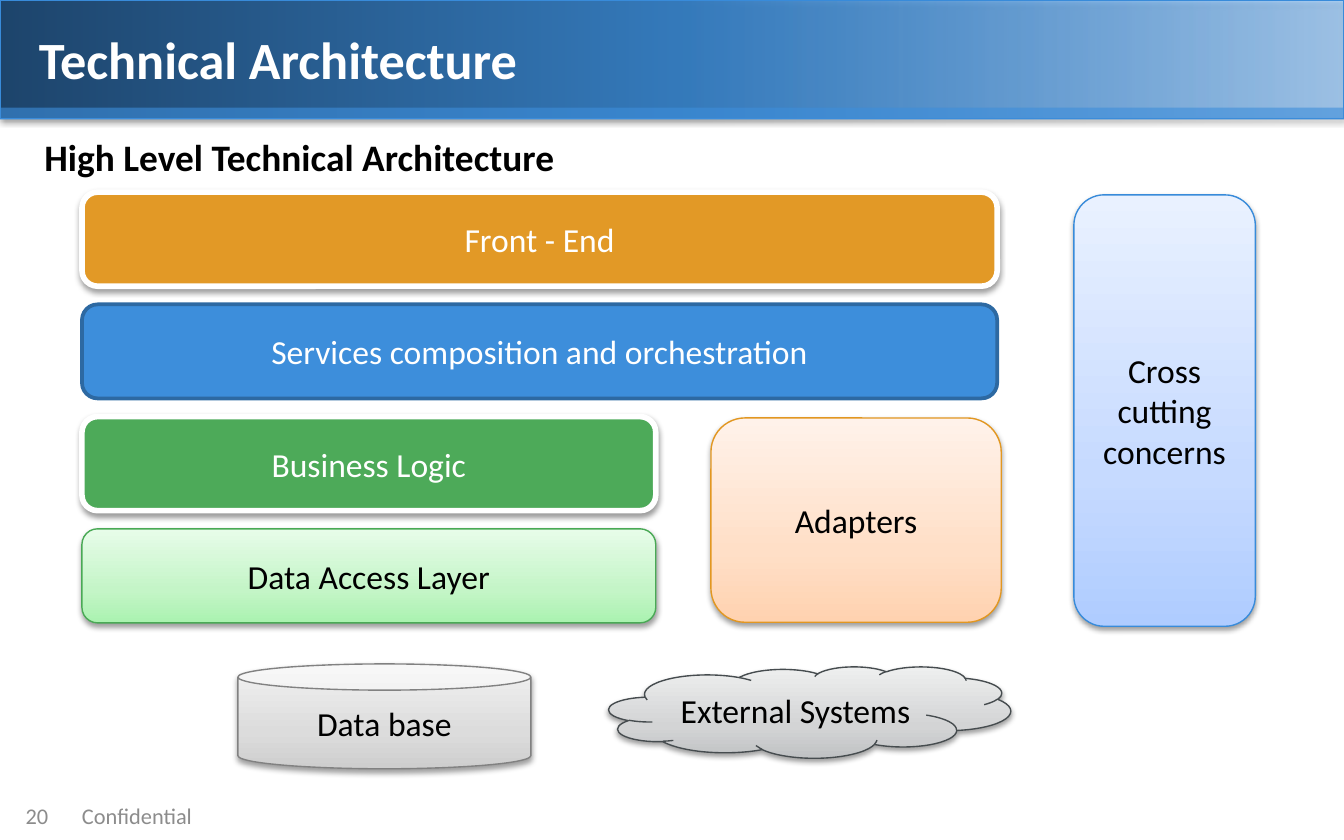
from dataclasses import dataclass
from typing import Optional, Union

from lxml.etree import SubElement
from pptx import Presentation
from pptx.dml.color import RGBColor
from pptx.enum.shapes import MSO_SHAPE
from pptx.enum.text import MSO_ANCHOR, PP_ALIGN
from pptx.oxml.ns import qn
from pptx.util import Inches, Pt

FONT = "Calibri"
WHITE = RGBColor(0xFF, 0xFF, 0xFF)
BLACK = RGBColor(0x00, 0x00, 0x00)
FOOTER_GRAY = RGBColor(0x8C, 0x8C, 0x8C)
BLUE = RGBColor(0x3D, 0x8E, 0xDB)
BLUE_LINE = RGBColor(0x38, 0x8B, 0xDA)
DARK_BLUE = RGBColor(0x2D, 0x69, 0xA2)
ORANGE = RGBColor(0xE2, 0x99, 0x26)
ORANGE_LINE = RGBColor(0xE2, 0x97, 0x21)
GREEN = RGBColor(0x4D, 0xAA, 0x59)
GREEN_LINE = RGBColor(0x49, 0xA9, 0x55)
GRAY_LINE = RGBColor(0x81, 0x81, 0x81)
SLATE_LINE = RGBColor(0x46, 0x4C, 0x4F)


@dataclass
class Stop:
    position: int
    color: RGBColor
    opacity: int = 100


def soft_gradient(*codes: str) -> list[Stop]:
    """Three stops, from the bottom of a block to its top."""
    return [Stop(at, RGBColor.from_string(code)) for at, code in zip((0, 35, 100), codes)]


HEADER_GRADIENT = [
    Stop(0, RGBColor(0x1D, 0x44, 0x6B)),
    Stop(50, RGBColor(0x34, 0x79, 0xBA)),
    Stop(100, RGBColor(0x42, 0x9A, 0xF1), 40),
]
PALE_GREEN = soft_gradient("AAF2B0", "C4F5C7", "E7FCE9")
PALE_GRAY = soft_gradient("CECECE", "DCDCDC", "F2F2F2")
PALE_ORANGE = soft_gradient("FFD2B0", "FFDFC7", "FFF2EA")
PALE_SLATE = soft_gradient("C0C2C4", "D3D4D5", "EEEFEF")
PALE_BLUE = soft_gradient("AFCCFF", "C6DAFF", "E9F1FF")


@dataclass
class Block:
    text: str
    left: float
    top: float
    width: float
    height: float
    fill: Union[RGBColor, list[Stop]]
    line: Optional[RGBColor]
    line_width: float = 0.75
    color: RGBColor = BLACK
    kind: MSO_SHAPE = MSO_SHAPE.ROUNDED_RECTANGLE
    shadow: bool = True
    angle: int = 90
    shadow_opacity: int = 38
    shadow_distance: float = 1.6


def add_opacity(color_element, opacity: int) -> None:
    SubElement(color_element, qn("a:alpha"), val=str(opacity * 1000))


def set_gradient(shape, stops: list[Stop], angle: int) -> None:
    shape.fill.gradient()
    shape.fill.gradient_angle = angle
    stop_list = shape._element.spPr.find(".//" + qn("a:gsLst"))
    for old_stop in list(stop_list):
        stop_list.remove(old_stop)
    for stop in stops:
        entry = SubElement(stop_list, qn("a:gs"), pos=str(stop.position * 1000))
        color = SubElement(entry, qn("a:srgbClr"), val=str(stop.color))
        if stop.opacity < 100:
            add_opacity(color, stop.opacity)


def add_shadow(shape, opacity: int, distance: float) -> None:
    effects = shape._element.spPr.find(qn("a:effectLst"))
    outer = SubElement(effects, qn("a:outerShdw"), blurRad=str(Pt(3.1)),
                       dist=str(Pt(distance)), dir="5400000", rotWithShape="0")
    add_opacity(SubElement(outer, qn("a:srgbClr"), val=str(BLACK)), opacity)


def write_text(shape, text: str, *, size: float = 18, color: RGBColor = BLACK,
               bold: bool = False, align: PP_ALIGN = PP_ALIGN.LEFT,
               anchor: MSO_ANCHOR = MSO_ANCHOR.MIDDLE, inset: bool = True) -> None:
    frame = shape.text_frame
    frame.word_wrap = True
    frame.vertical_anchor = anchor
    if not inset:
        frame.margin_left = frame.margin_right = Inches(0)
        frame.margin_top = frame.margin_bottom = Inches(0)
    para = frame.paragraphs[0]
    para.alignment = align
    span = para.add_run()
    span.text = text
    span.font.name = FONT
    span.font.size = Pt(size)
    span.font.bold = bold
    span.font.color.rgb = color


def add_label(page, text: str, left: float, top: float, width: float,
              height: float, **text_format) -> None:
    box = page.shapes.add_textbox(Inches(left), Inches(top), Inches(width), Inches(height))
    write_text(box, text, **text_format)


def add_block(page, block: Block):
    shape = page.shapes.add_shape(block.kind, Inches(block.left), Inches(block.top),
                                  Inches(block.width), Inches(block.height))
    if isinstance(block.fill, list):
        set_gradient(shape, block.fill, block.angle)
    else:
        shape.fill.solid()
        shape.fill.fore_color.rgb = block.fill
    if block.line is None:
        shape.line.fill.background()
    else:
        shape.line.color.rgb = block.line
        shape.line.width = Pt(block.line_width)
    shape.shadow.inherit = False
    if block.shadow:
        add_shadow(shape, block.shadow_opacity, block.shadow_distance)
    if block.text:
        write_text(shape, block.text, color=block.color, align=PP_ALIGN.CENTER)
    return shape


LEFT = 0.61
WIDE, NARROW = 6.81, 4.27
LAYER_HEIGHT = 0.7
LAYER_TOPS = [1.43 + 0.835 * row for row in range(4)]

BLOCKS = [
    # Stacked layers
    Block("Front - End", LEFT, LAYER_TOPS[0], WIDE, LAYER_HEIGHT, ORANGE, WHITE, 3, WHITE),
    Block("Services composition and orchestration", LEFT, LAYER_TOPS[1], WIDE, LAYER_HEIGHT,
          BLUE, DARK_BLUE, 2, WHITE, shadow=False),
    Block("Business Logic", LEFT, LAYER_TOPS[2], NARROW, LAYER_HEIGHT, GREEN, WHITE, 3, WHITE),
    Block("Data Access Layer", LEFT, LAYER_TOPS[3], NARROW, LAYER_HEIGHT,
          PALE_GREEN, GREEN_LINE),
    # Storage, adapters, outside systems and shared concerns
    Block("Data base", 1.77, 4.94, 2.18, 0.78, PALE_GRAY, GRAY_LINE, kind=MSO_SHAPE.CAN),
    Block("Adapters", 5.29, 3.11, 2.16, 1.52, PALE_ORANGE, ORANGE_LINE),
    Block("External Systems", 4.53, 4.96, 2.99, 0.68, PALE_SLATE, SLATE_LINE,
          kind=MSO_SHAPE.CLOUD),
    Block("Cross cutting concerns", 7.99, 1.45, 1.35, 3.21, PALE_BLUE, BLUE_LINE),
]


def main() -> None:
    deck = Presentation()
    deck.slide_width, deck.slide_height = Inches(10), Inches(6.25)
    page = deck.slides.add_slide(deck.slide_layouts[6])

    # Header band with a translucent strip
    add_block(page, Block("", 0, 0, 10, 0.88, HEADER_GRADIENT, BLUE_LINE, angle=0,
                          kind=MSO_SHAPE.RECTANGLE, shadow_opacity=35, shadow_distance=1.8))
    strip = add_block(page, Block("", 0, 0.8, 10, 0.09, BLUE, None,
                                  kind=MSO_SHAPE.RECTANGLE, shadow=False))
    add_opacity(strip._element.spPr.find(".//" + qn("a:srgbClr")), 60)

    # Headings
    add_label(page, "Technical Architecture", 0.19, 0, 9.61, 0.87,
              size=28, color=WHITE, bold=True)
    add_label(page, "High Level Technical Architecture", 0.33, 1, 9.32, 0.42,
              size=20, bold=True, anchor=MSO_ANCHOR.TOP, inset=False)

    # Footer
    for text, left, width in (("Confidential", LEFT, 6.61), ("20", 0.19, 0.42)):
        add_label(page, text, left, 5.9, width, 0.33, size=12, color=FOOTER_GRAY, inset=False)

    # Architecture diagram
    for block in BLOCKS:
        add_block(page, block)

    deck.save("out.pptx")


if __name__ == "__main__":
    main()
